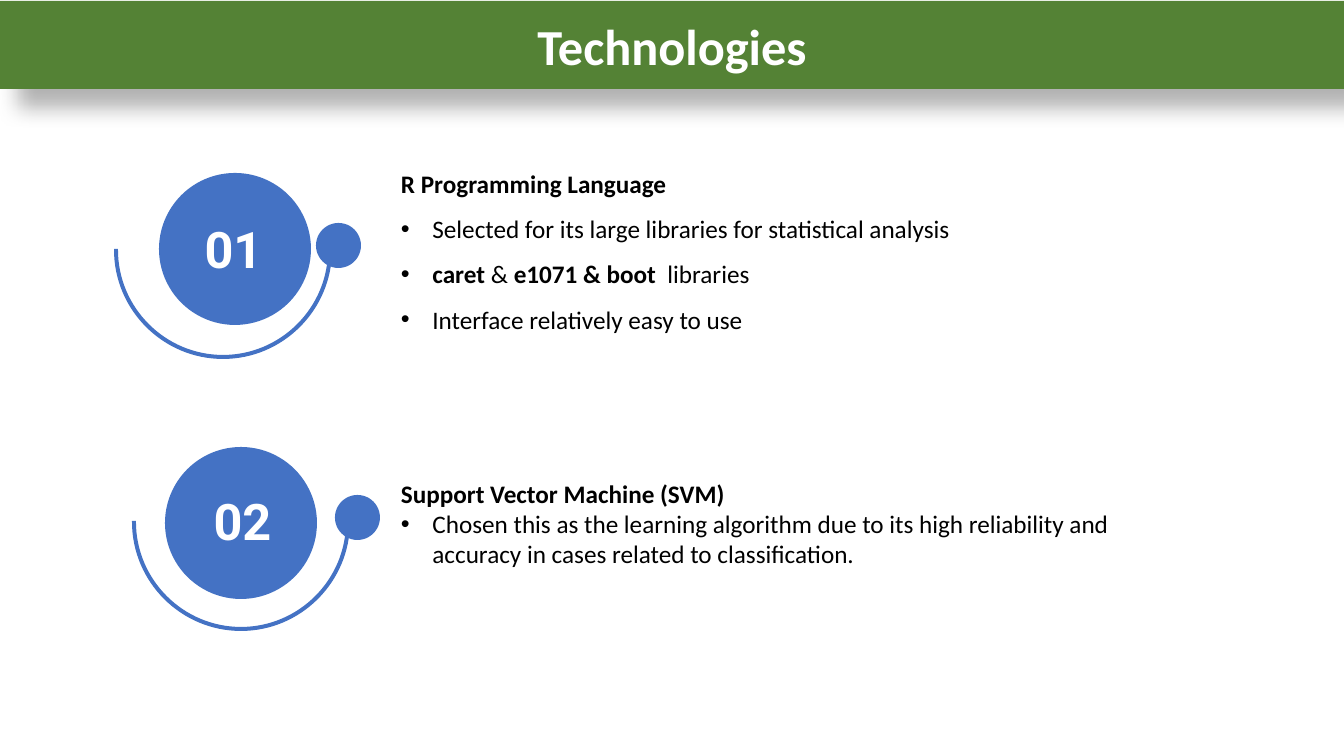
from pptx import Presentation
from pptx.dml.color import RGBColor
from pptx.enum.shapes import MSO_SHAPE
from pptx.enum.text import MSO_ANCHOR, MSO_AUTO_SIZE, PP_ALIGN
from pptx.oxml import parse_xml
from pptx.oxml.ns import nsdecls, qn
from pptx.util import Pt

GREEN = RGBColor(0x54, 0x82, 0x35)
BLUE = RGBColor(0x44, 0x72, 0xC4)
WHITE = RGBColor(0xFF, 0xFF, 0xFF)
BLACK = RGBColor(0, 0, 0)

EMU_PER_PX = 12192000 / 1344
QUARTER = 0.55  # control point distance for a quarter circle


def px(n):
    return round(n * EMU_PER_PX)


class SlideBuilder:
    heading = {"name": "Calibri", "size": Pt(36), "bold": True}
    number_font = {"name": "Roboto", "size": Pt(36), "bold": True}
    body = {"name": "Calibri", "size": Pt(18)}
    bullet_indent = Pt(22.5)

    def __init__(self, prs):
        self.slide = prs.slides.add_slide(prs.slide_layouts[6])
        self.shapes = self.slide.shapes

    def paint(self, sp, color):
        sp.shadow.inherit = False
        sp.fill.solid()
        sp.fill.fore_color.rgb = color
        sp.line.fill.background()
        return sp

    def shape(self, kind, box, color):
        return self.paint(self.shapes.add_shape(kind, *map(px, box)), color)

    def run(self, p, text, color, font):
        r = p.add_run()
        r.text = text
        for name, value in font.items():
            setattr(r.font, name, value)
        r.font.color.rgb = color

    def centred(self, sp, text, font, inset):
        tf = sp.text_frame
        layout = {"word_wrap": True, "vertical_anchor": MSO_ANCHOR.MIDDLE}
        for side in ("left", "top", "right", "bottom"):
            layout[f"margin_{side}"] = px(inset)
        for name, value in layout.items():
            setattr(tf, name, value)
        p = tf.paragraphs[0]
        p.alignment = PP_ALIGN.CENTER
        self.run(p, text, WHITE, font)

    def title_bar(self, box, text):
        sp = self.shape(MSO_SHAPE.RECTANGLE, box, GREEN)
        self.centred(sp, text, self.heading, inset=5)
        sp.element.spPr.find(qn("a:effectLst")).append(parse_xml(
            f'<a:outerShdw {nsdecls("a")} blurRad="{Pt(15)}" dist="{Pt(18)}" '
            'dir="2700000" algn="tl" rotWithShape="0"><a:srgbClr val="000000">'
            '<a:alpha val="30000"/></a:srgbClr></a:outerShdw>'))

    def round_corners(self, sp):
        """Turn each diagonal step of the outline into a quarter circle."""
        ends = [(pt, int(pt.get("x")), int(pt.get("y")))
                for pt in sp.element.iter(qn("a:pt"))]
        for (_, ax, ay), (pt, bx, by) in zip(ends, ends[1:]):
            if ax == bx or ay == by:
                continue
            kx, ky = (ax, by) if by > ay else (bx, ay)
            curve = [(ax + QUARTER * (kx - ax), ay + QUARTER * (ky - ay)),
                     (bx + QUARTER * (kx - bx), by + QUARTER * (ky - by)),
                     (bx, by)]
            pts = "".join(f'<a:pt x="{round(x)}" y="{round(y)}"/>'
                          for x, y in curve)
            step = pt.getparent()
            step.getparent().replace(step, parse_xml(
                f'<a:cubicBezTo {nsdecls("a")}>{pts}</a:cubicBezTo>'))

    def half_ring(self, left, top, radius=109, thickness=4):
        right, cx, cy = left + 2 * radius, left + radius, top + 1
        inner_left, inner_right = left + thickness, right - thickness
        bottom = cy + radius
        outline = [(left, top), (left, cy), (cx, bottom), (right, cy),
                   (right, top), (inner_right, top), (inner_right, cy),
                   (cx, bottom - thickness), (inner_left, cy),
                   (inner_left, top)]
        points = [(px(x), px(y)) for x, y in outline]
        fb = self.shapes.build_freeform(*points[0])
        fb.add_line_segments(points[1:], close=True)
        self.round_corners(self.paint(fb.convert_to_shape(), BLUE))

    def badge(self, number, ring, dot, circle, label, filled=False):
        self.half_ring(*ring)
        self.shape(MSO_SHAPE.OVAL, (*dot, 45, 45), BLUE)
        self.shape(MSO_SHAPE.OVAL, (*circle, 152, 152), BLUE)
        if filled:
            sp = self.shape(MSO_SHAPE.RECTANGLE, label, BLUE)
        else:
            sp = self.shapes.add_textbox(*map(px, label))
        self.centred(sp, number, self.number_font, inset=13)

    def bullet(self, p):
        pPr = p._p.get_or_add_pPr()
        pPr.set("marL", str(self.bullet_indent))
        pPr.set("indent", str(-self.bullet_indent))
        pPr.append(parse_xml(f'<a:buFont {nsdecls("a")} typeface="Arial"/>'))
        pPr.append(parse_xml(f'<a:buChar {nsdecls("a")} char="•"/>'))

    def topic(self, box, heading, bullets, spacing=None, wrap=True):
        tf = self.shapes.add_textbox(*map(px, box)).text_frame
        tf.word_wrap = wrap
        tf.auto_size = MSO_AUTO_SIZE.SHAPE_TO_FIT_TEXT
        self.run(tf.paragraphs[0], heading, BLACK, {**self.body, "bold": True})
        for runs in bullets:
            p = tf.add_paragraph()
            p.line_spacing = spacing
            self.bullet(p)
            for text, bold in runs:
                self.run(p, text, BLACK, {**self.body, "bold": bold})


def main():
    prs = Presentation()
    prs.slide_width, prs.slide_height = px(1344), px(756)
    s = SlideBuilder(prs)

    # Numbered badges
    s.badge("02", ring=(132, 521), dot=(335, 495), circle=(165, 447),
            label=(196, 490, 93, 60), filled=True)
    s.badge("01", ring=(114, 249), dot=(316, 223), circle=(159, 173),
            label=(152, 218, 163, 60))

    # Title bar
    s.title_bar((0, 1, 1344, 88), "Technologies")

    # Topic texts
    s.topic((391, 163, 576, 178), "R Programming Language", [
        [("Selected for its large libraries for statistical analysis", False)],
        [("caret ", True), ("& ", False), ("e1071 & boot ", True),
         (" libraries", False)],
        [("Interface relatively easy to use", False)],
    ], spacing=1.5, wrap=False)
    s.topic((391, 473, 749, 102), "Support Vector Machine (SVM)", [
        [("Chosen this as the learning algorithm due to its high reliability "
          "and accuracy in cases related to classification.", False)],
    ])

    prs.save("out.pptx")


if __name__ == "__main__":
    main()
